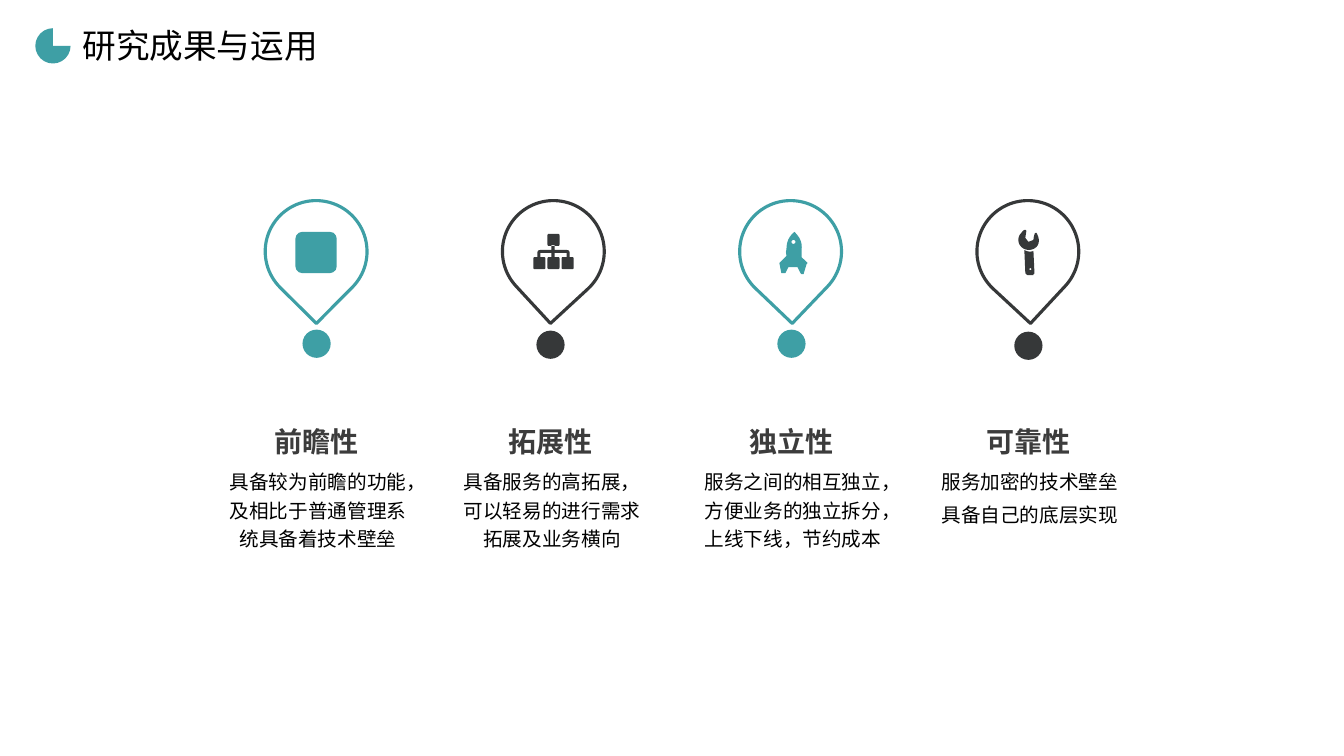
from pptx import Presentation
from pptx.dml.color import RGBColor
from pptx.enum.shapes import MSO_SHAPE
from pptx.enum.text import MSO_AUTO_SIZE, PP_ALIGN
from pptx.util import Inches, Pt

DOT, PIN, PIE, PLAIN = MSO_SHAPE.OVAL, MSO_SHAPE.TEAR, MSO_SHAPE.PIE, MSO_SHAPE.ROUNDED_RECTANGLE
CENTER, LEFT = PP_ALIGN.CENTER, PP_ALIGN.LEFT
GROW = MSO_AUTO_SIZE.SHAPE_TO_FIT_TEXT
TEAL, DARK, HEADING, BLACK = "3E9FA5", "363839", "3C3C3C", "000000"
BODY_FONT, TITLE_FONT = "Arial", "Noto Sans CJK SC"
CURVE_STEPS = 6


def color(value):
    """Turn a hex string into a colour."""
    return RGBColor.from_string(value)


def flatten(outline):
    """Turn points and cubic curves into a list of points."""
    points = [outline[0]]
    for step in outline[1:]:
        if len(step) == 2:
            points.append(step)
            continue
        nodes = [points[-1], step[:2], step[2:4], step[4:]]
        for i in range(1, CURVE_STEPS + 1):
            t = i / CURVE_STEPS
            weights = ((1 - t) ** 3, 3 * t * (1 - t) ** 2, 3 * t * t * (1 - t), t ** 3)
            points.append(tuple(sum(w * node[axis] for w, node in zip(weights, nodes))
                                for axis in (0, 1)))
    return points


def circle(x, y, r):
    """Outline a circle with four curves."""
    k = 0.55 * r
    return [(x, y + r), (x - k, y + r, x - r, y + k, x - r, y),
            (x - r, y - k, x - k, y - r, x, y - r),
            (x + k, y - r, x + r, y - k, x + r, y),
            (x + r, y + k, x + k, y + r, x, y + r)]


def rounded_box(x, y, w, h, r):
    """Outline a rectangle with rounded corners."""
    right, bottom = x + w, y + h
    return [(x + r, y), (right - r, y), (right, y, right, y, right, y + r),
            (right, bottom - r), (right, bottom, right, bottom, right - r, bottom),
            (x + r, bottom), (x, bottom, x, bottom, x, bottom - r),
            (x, y + r), (x, y, x, y, x + r, y)]


def org_chart():
    """Outline one box joined to three boxes below."""
    boxes = [rounded_box(x, y, 0.12, 0.12, 0.03)
             for x, y in ((5.43, 2.32), (5.29, 2.55), (5.43, 2.55), (5.57, 2.55))]
    branches = [(5.47, 2.43), (5.5, 2.43), (5.5, 2.48), (5.62, 2.48),
                (5.64, 2.48, 5.65, 2.49, 5.65, 2.51), (5.65, 2.55), (5.62, 2.55),
                (5.62, 2.51), (5.5, 2.51), (5.5, 2.55), (5.47, 2.55), (5.47, 2.51),
                (5.36, 2.51), (5.36, 2.55), (5.33, 2.55), (5.33, 2.51),
                (5.33, 2.49, 5.34, 2.48, 5.36, 2.48), (5.47, 2.48)]
    return boxes + [branches]


ROCKET = [
    [(7.95, 2.49), (7.95, 2.51, 7.95, 2.53, 7.95, 2.55), (8.01, 2.61), (8, 2.62),
     (7.97, 2.72), (7.95, 2.72), (7.94, 2.71), (7.91, 2.65), (7.82, 2.65), (7.79, 2.71),
     (7.76, 2.71), (7.75, 2.71), (7.73, 2.61), (7.74, 2.6), (7.8, 2.54),
     (7.8, 2.52, 7.79, 2.5, 7.8, 2.48), (7.8, 2.4, 7.82, 2.35, 7.88, 2.3),
     (7.94, 2.36, 7.96, 2.41, 7.95, 2.49)],
    circle(7.87, 2.4, 0.02)]
WRENCH = [
    [(10.26, 2.7), (10.26, 2.71, 10.26, 2.72, 10.25, 2.72),
     (10.25, 2.73, 10.25, 2.73, 10.24, 2.73), (10.2, 2.73),
     (10.19, 2.73, 10.19, 2.73, 10.18, 2.72), (10.17, 2.71), (10.16, 2.48),
     (10.19, 2.5, 10.23, 2.5, 10.25, 2.49)],
    circle(10.22, 2.67, 0.01),
    [(10.29, 2.33), (10.31, 2.37, 10.31, 2.42, 10.28, 2.45),
     (10.24, 2.49, 10.17, 2.49, 10.13, 2.45), (10.09, 2.41, 10.09, 2.35, 10.13, 2.31),
     (10.14, 2.3, 10.15, 2.28, 10.17, 2.28), (10.18, 2.29), (10.17, 2.36), (10.2, 2.4),
     (10.25, 2.38), (10.25, 2.37, 10.26, 2.31, 10.27, 2.31), (10.28, 2.31),
     (10.29, 2.33)]]


class Canvas:
    """Hold the current slide and draw styled elements on it."""

    def __init__(self, slide):
        """Keep the slide."""
        self.shapes = slide.shapes

    def paint(self, shape, fill=None, line=None):
        """Set the fill and outline of a shape."""
        shape.shadow.inherit = False
        if fill:
            shape.fill.solid()
            shape.fill.fore_color.rgb = color(fill)
        else:
            shape.fill.background()
        if line:
            shape.line.color.rgb = color(line)
            shape.line.width = Pt(2.25)
        else:
            shape.line.fill.background()

    def preset(self, kind, x, y, size, fill=None, line=None, turn=0):
        """Draw a square preset shape."""
        shape = self.shapes.add_shape(kind, *map(Inches, (x, y, size, size)))
        shape.rotation = turn
        self.paint(shape, fill, line)

    def icon(self, outlines, fill):
        """Draw a filled icon from closed outlines."""
        builder = None
        for outline in outlines:
            start, *rest = [(Inches(x), Inches(y)) for x, y in flatten(outline)]
            if builder:
                builder.move_to(*start)
            else:
                builder = self.shapes.build_freeform(*start)
            builder.add_line_segments(rest, close=True)
        self.paint(builder.convert_to_shape(), fill)

    def text(self, x, y, w, h, lines, size, ink=BLACK, font=BODY_FONT, bold=False,
             align=CENTER, spacing=1.2, inset=0, wrap=True):
        """Write lines as paragraphs in a text box."""
        frame = self.shapes.add_textbox(*map(Inches, (x, y, w, h))).text_frame
        frame.word_wrap = wrap
        frame.auto_size = GROW
        frame.margin_left = frame.margin_right = Inches(inset)
        frame.margin_top = frame.margin_bottom = Inches(inset / 2)
        for i, line in enumerate(lines):
            paragraph = frame.add_paragraph() if i else frame.paragraphs[0]
            paragraph.alignment = align
            paragraph.line_spacing = spacing
            if i:
                paragraph.space_before = Pt(size * 0.2)
            run = paragraph.add_run()
            run.text = line
            run.font.size = Pt(size)
            run.font.name = font
            run.font.bold = bold
            run.font.color.rgb = color(ink)


def main():
    """Build the slide and save it."""
    deck = Presentation()
    deck.slide_width, deck.slide_height = Inches(13.33), Inches(7.5)
    canvas = Canvas(deck.slides.add_slide(deck.slide_layouts[6]))
    features = [
        (TEAL, 134.8, 3, 3.27, None, 1.86, "前瞻性",
         ["具备较为前瞻的功能，及相比于普通管理系统具备着技术壁垒"]),
        (DARK, 137.3, 5.32, 3.28, org_chart(), 4.18, "拓展性",
         ["具备服务的高拓展，可以轻易的进行需求拓展及业务横向"]),
        (TEAL, 133.7, 7.71, 3.27, ROCKET, 6.57, "独立性",
         ["服务之间的相互独立，方便业务的独立拆分，上线下线，节约成本"]),
        (DARK, 132.9, 10.06, 3.29, WRENCH, 8.92, "可靠性",
         ["服务加密的技术壁垒", "具备自己的底层实现"])]
    for i, (tint, turn, dot_x, dot_y, icon, text_x, name, details) in enumerate(features):
        canvas.preset(DOT, dot_x, dot_y, 0.28, fill=tint)
        canvas.preset(PIN, 2.63 + 2.353 * i, 1.99, 1.01, line=tint, turn=turn)
        if icon:
            canvas.icon(icon, tint)
        else:
            canvas.preset(PLAIN, 2.93, 2.3, 0.41, fill=tint)
        canvas.text(text_x, 4.14, 2.56, 0.4, [name], 20, HEADING, bold=True)
        canvas.text(text_x + 0.36, 4.62, 1.87, 0.61 if len(details) > 1 else 0.85,
                    details, 14)
    canvas.preset(PIE, 0.35, 0.28, 0.35, fill=TEAL)
    canvas.text(0.72, 0.2, 2.56, 0.5, ["研究成果与运用"], 24, font=TITLE_FONT,
                align=LEFT, spacing=1, inset=0.1, wrap=False)
    deck.save("out.pptx")


if __name__ == "__main__":
    main()
